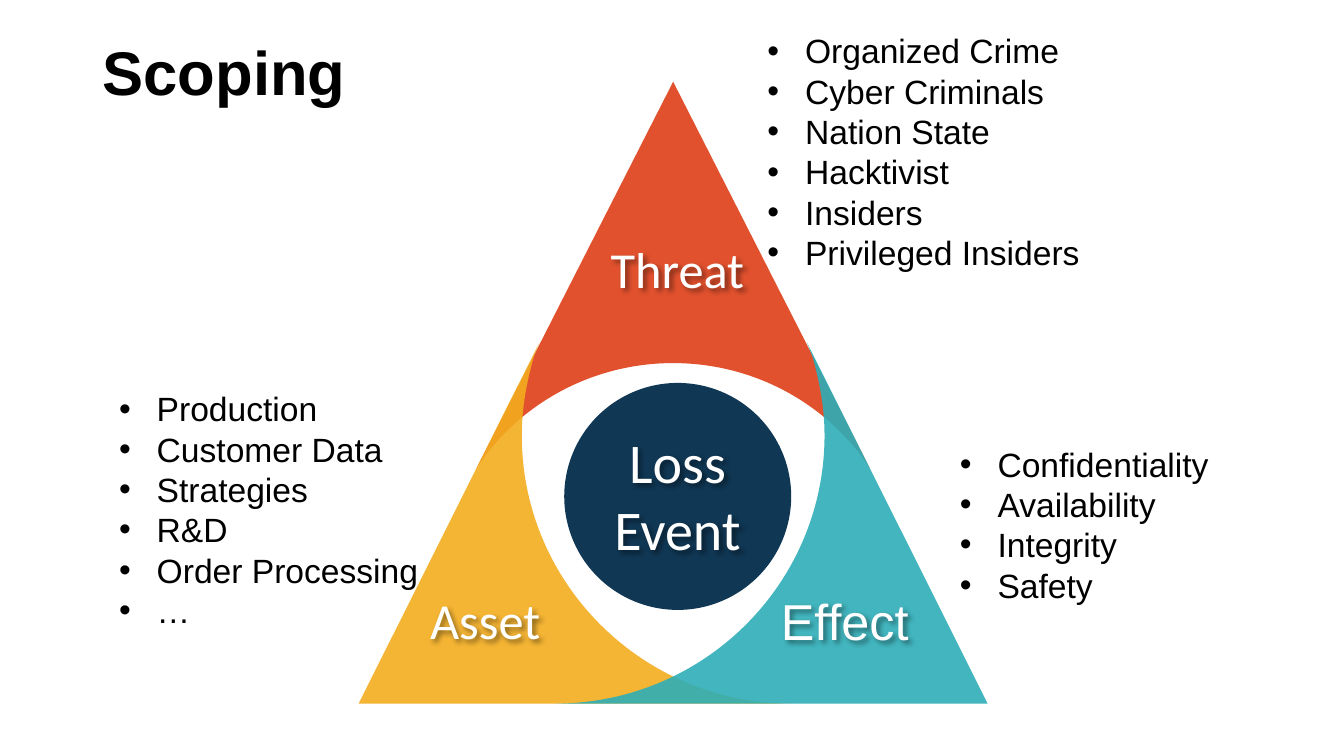
from dataclasses import dataclass

from lxml.etree import SubElement as Sub
from pptx import Presentation
from pptx.dml.color import RGBColor as Rgb
from pptx.enum.shapes import MSO_SHAPE as Kind
from pptx.enum.text import MSO_ANCHOR as Anchor, MSO_AUTO_SIZE as Fit, PP_ALIGN as Align
from pptx.oxml.ns import qn
from pptx.util import Cm, Pt


@dataclass(frozen=True)
class Theme:
    ink: str = "000000"
    light: str = "FFFFFF"
    red: str = "DE3F18"
    gold: str = "F3AC1E"
    teal: str = "2EAEB7"
    navy: str = "103754"
    head: int = 44
    core: int = 40
    label: int = 36
    body: int = 24
    sans: str = "Arial"
    soft: str = "Calibri"


THEME = Theme()


def add_run(para, text, size, color, font, bold=False):
    run = para.add_run()
    run.text = text
    run.font.size = Pt(size)
    run.font.name = font
    run.font.bold = bold
    run.font.color.rgb = Rgb.from_string(color)


def add_box(slide, box, wrap=True, fit=Fit.SHAPE_TO_FIT_TEXT):
    shape = slide.shapes.add_textbox(*map(Cm, box))
    shape.text_frame.word_wrap = wrap
    shape.text_frame.auto_size = fit
    return shape


def each_para(frame, lines):
    for i, line in enumerate(lines):
        yield frame.add_paragraph() if i else frame.paragraphs[0], line


def add_title(slide, box, text):
    frame = add_box(slide, box, fit=Fit.NONE).text_frame
    frame.vertical_anchor = Anchor.MIDDLE
    para = frame.paragraphs[0]
    para.line_spacing = 0.9
    add_run(para, text, THEME.head, THEME.ink, THEME.sans, True)


def add_list(slide, box, items):
    frame = add_box(slide, box).text_frame
    for para, item in each_para(frame, items):
        props = para._p.get_or_add_pPr()
        props.set("marL", str(Cm(0.95)))
        props.set("indent", str(-Cm(0.95)))
        Sub(props, qn("a:buFont"), typeface=THEME.sans)
        Sub(props, qn("a:buChar"), char="•")
        add_run(para, item, THEME.body, THEME.ink, THEME.sans)


def add_label(slide, box, lines, size, font):
    shape = add_box(slide, box, False)
    for para, line in each_para(shape.text_frame, lines):
        if len(lines) > 1:
            para.alignment = Align.CENTER
        add_run(para, line, size, THEME.light, font)
    glow = Sub(shape._element.spPr, qn("a:effectLst"))
    shade = Sub(glow, qn("a:outerShdw"), blurRad=str(Pt(4)), dist=str(Pt(3)),
                dir="2700000", algn="tl", rotWithShape="0")
    tint = Sub(shade, qn("a:srgbClr"), val=THEME.ink)
    Sub(tint, qn("a:alpha"), val="43000")


def paint(shape, color, alpha=100):
    shape.shadow.inherit = False
    shape.fill.solid()
    shape.fill.fore_color.rgb = Rgb.from_string(color)
    shape.line.fill.background()
    if alpha < 100:
        tint = shape._element.spPr.find(".//" + qn("a:srgbClr"))
        Sub(tint, qn("a:alpha"), val=str(alpha * 1000))


def add_tip(slide, origin, start, steps, color, side=1):
    def place(point):
        return Cm(origin[0] + side * point[0]), Cm(origin[1] + point[1])

    build = slide.shapes.build_freeform(*place(start))
    build.add_line_segments([place(p) for step in steps for p in step])
    shape = build.convert_to_shape()
    trail = shape._element.spPr.find(".//" + qn("a:path"))
    lines = iter(trail.findall(qn("a:lnTo")))
    for step in steps:
        group = [next(lines) for _ in step]
        if len(group) == 3:
            curve = Sub(trail, qn("a:cubicBezTo"))
            group[0].addprevious(curve)
            for line in group:
                curve.append(line[0])
                trail.remove(line)
    paint(shape, color, 90)


def add_prism(slide, box):
    left, top, width, height = box
    axis, half = left + width / 2, width / 2

    apex = (0, 0)
    cap = [
        [(4.95, 9.73)],
        [(4.9, 9.65)],
        [(3.84, 8.1), (2.03, 7.09), (0, 7.09)],
        [(-2.03, 7.09), (-3.84, 8.1), (-4.9, 9.65)],
        [(-4.95, 9.73)],
        [apex],
    ]
    add_tip(slide, (axis, top), apex, cap, THEME.red)

    peak = (4.55 - half, 6.58)
    wing = [
        [(4.42 - half, 6.91)],
        [(4.24 - half, 7.54), (4.11 - half, 8.2), (4.11 - half, 8.91)],
        [(4.11 - half, 12.65), (7.16 - half, height), (10.9 - half, height)],
        [(-half, height)],
        [peak],
    ]
    for color, side in ((THEME.gold, 1), (THEME.teal, -1)):
        add_tip(slide, (axis, top), peak, wing, color, side)

    disc = slide.shapes.add_shape(
        Kind.OVAL, Cm(left + 5.18), Cm(top + 7.59), Cm(5.72), Cm(5.72))
    paint(disc, THEME.navy)

    for x, y, w, h, lines, size, font in (
        (1.55, 12.65, 3.33, 1.8, ["Asset"], THEME.label, THEME.soft),
        (10.39, 12.68, 3.76, 1.8, ["Effect"], THEME.label, THEME.sans),
        (6.1, 3.81, 3.91, 1.8, ["Threat"], THEME.label, THEME.soft),
        (6.17, 8.58, 3.73, 3.68, ["Loss", "Event"], THEME.core, THEME.soft),
    ):
        add_label(slide, (left + x, top + y, w, h), lines, size, font)


def main():
    deck = Presentation()
    deck.slide_width, deck.slide_height = Cm(33.87), Cm(19.05)
    slide = deck.slides.add_slide(deck.slide_layouts[6])
    add_prism(slide, (9.04, 2.06, 15.85, 15.67))
    add_title(slide, (2.34, 0.07, 29.21, 3.68), "Scoping")
    add_list(slide, (23.94, 11.05, 7.85, 4.37),
             ["Confidentiality", "Availability", "Integrity", "Safety"])
    add_list(slide, (19.09, 0.64, 10.49, 6.4),
             ["Organized Crime", "Cyber Criminals", "Nation State",
              "Hacktivist", "Insiders", "Privileged Insiders"])
    add_list(slide, (2.75, 9.66, 8.66, 6.4),
             ["Production", "Customer Data", "Strategies", "R&D",
              "Order Processing", "…"])
    deck.save("out.pptx")


if __name__ == "__main__":
    main()
